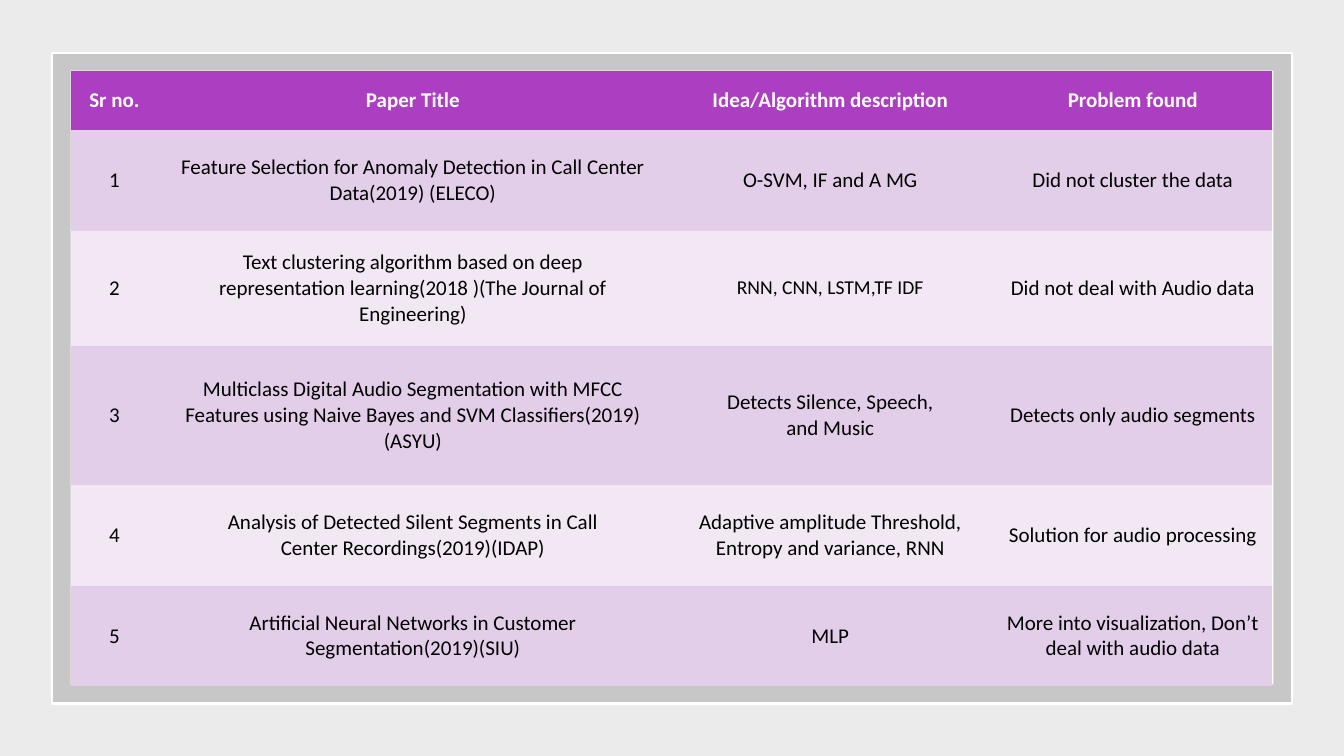
import pptx
import pptx.util
import pptx.dml.color
import pptx.enum.shapes
import pptx.enum.text
import pptx.oxml.ns
from lxml import etree

Inches = pptx.util.Inches
HEADER, BANDS = "AC3EC1", ("F1E8F4", "E3CEE9")
NO_GRID_STYLE = "{2D5ABB26-0587-4C30-8999-92F81FD0307C}"


def paint(fill, color):
    fill.solid()
    fill.fore_color.rgb = pptx.dml.color.RGBColor.from_string(color)


def add_panel(left, top, width, height, color):
    panel = page.shapes.add_shape(
        pptx.enum.shapes.MSO_SHAPE.RECTANGLE,
        Inches(left), Inches(top), Inches(width), Inches(height))
    panel.shadow.inherit = False
    paint(panel.fill, color)
    panel.line.fill.background()
    return panel


deck = pptx.Presentation()
deck.slide_width, deck.slide_height = Inches(13.33), Inches(7.5)
page = deck.slides.add_slide(deck.slide_layouts[6])
paint(page.background.fill, "EBEBEB")

# Translucent frame with a white outline, and the white panel on it
frame = add_panel(0.52, 0.53, 12.29, 6.45, "000000")
paint(frame.line.fill, "FFFFFF")
frame.line.width = pptx.util.Pt(1.5)
shade = frame.fill.fore_color._xFill.find(pptx.oxml.ns.qn("a:srgbClr"))
etree.SubElement(shade, pptx.oxml.ns.qn("a:alpha"), val="15000")
add_panel(0.7, 0.7, 11.93, 6.09, "FFFFFF")

# Literature survey: a line break starts a new paragraph
papers = [
    ("Sr no.", "Paper Title", "Idea/Algorithm description", "Problem found"),
    ("1", "Feature Selection for Anomaly Detection in Call Center Data(2019) (ELECO)",
     "O-SVM, IF and A MG", "Did not cluster the data"),
    ("2", "Text clustering algorithm based on deep\n"
     "representation learning(2018 )(The Journal of Engineering)",
     "RNN, CNN, LSTM,TF IDF", "Did not deal with Audio data"),
    ("3", "Multiclass Digital Audio Segmentation with MFCC\n"
     "Features using Naive Bayes and SVM Classifiers(2019)(ASYU)",
     "Detects Silence, Speech,\nand Music", "Detects only audio segments"),
    ("4", "Analysis of Detected Silent Segments in Call\nCenter Recordings(2019)(IDAP)",
     "Adaptive amplitude Threshold, Entropy and variance, RNN",
     "Solution for audio processing"),
    ("5", "Artificial Neural Networks in Customer Segmentation(2019)(SIU)",
     "MLP", "More into visualization, Don’t deal with audio data"),
]
column_widths = [0.87, 5.05, 3.23, 2.77]
row_heights = [0.59, 1, 1.14, 1.38, 1, 1]

table = page.shapes.add_table(
    len(papers), len(column_widths),
    Inches(0.7), Inches(0.7), Inches(11.93), Inches(6.09)).table
table._tbl.tblPr.find(pptx.oxml.ns.qn("a:tableStyleId")).text = NO_GRID_STYLE
for column, width in zip(table.columns, column_widths):
    column.width = Inches(width)
for row, height in zip(table.rows, row_heights):
    row.height = Inches(height)

cell_format = {
    "vertical_anchor": pptx.enum.text.MSO_ANCHOR.MIDDLE,
    "margin_left": Inches(0.09), "margin_right": Inches(0.09),
    "margin_top": Inches(0.04), "margin_bottom": Inches(0.04),
}
for row_number, paper in enumerate(papers):
    is_header = row_number == 0
    for column_number, text in enumerate(paper):
        cell = table.cell(row_number, column_number)
        cell.text = text
        paint(cell.fill, HEADER if is_header else BANDS[row_number % 2])
        for name, value in cell_format.items():
            setattr(cell, name, value)
        # The list of networks is set slightly smaller
        size = 14 if text.startswith("RNN") else 15
        font_format = {"name": "Calibri", "size": pptx.util.Pt(size), "bold": is_header}
        for para in cell.text_frame.paragraphs:
            para.alignment = pptx.enum.text.PP_ALIGN.CENTER
            for span in para.runs:
                for name, value in font_format.items():
                    setattr(span.font, name, value)
                paint(span.font.fill, "FFFFFF" if is_header else "000000")

deck.save("out.pptx")
